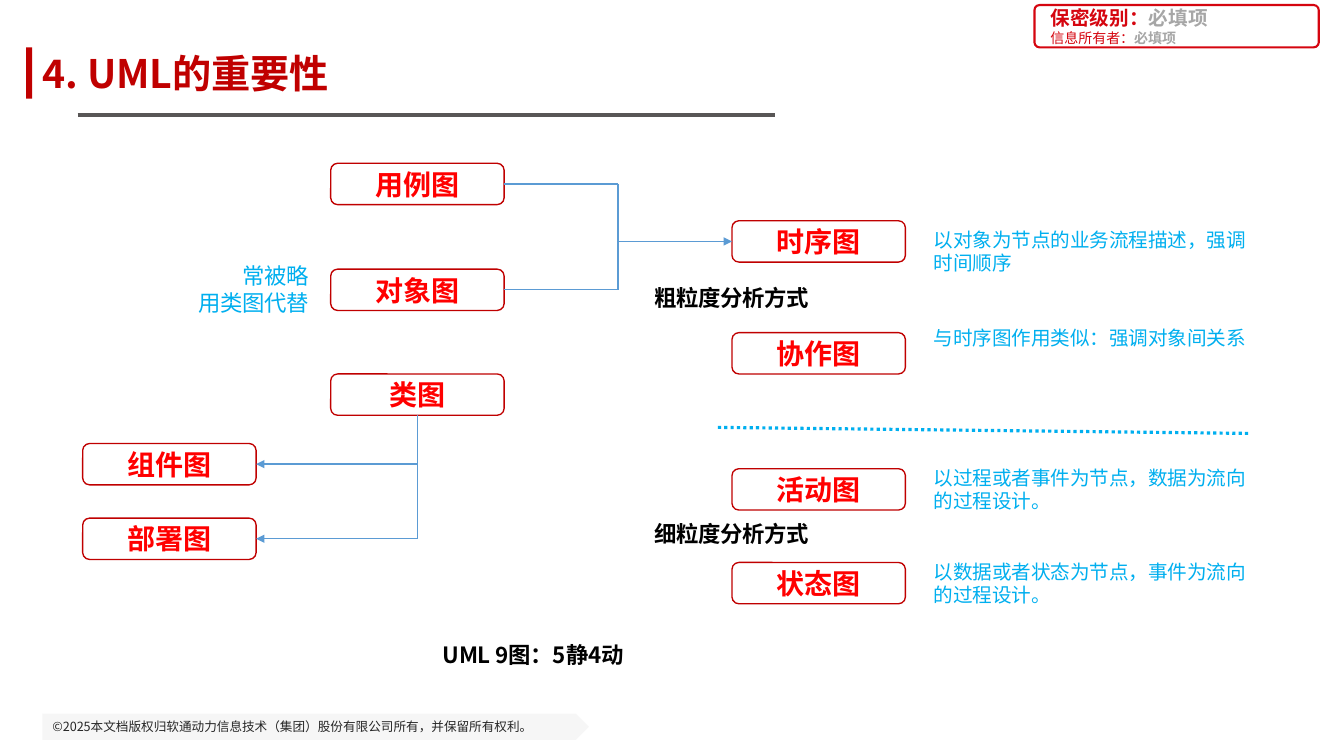
from lxml import etree
from pptx import Presentation
from pptx.dml.color import RGBColor
from pptx.enum.dml import MSO_LINE
from pptx.enum.shapes import MSO_CONNECTOR, MSO_SHAPE
from pptx.enum.text import MSO_ANCHOR, MSO_AUTO_SIZE, PP_ALIGN
from pptx.oxml.ns import qn
from pptx.util import Inches, Pt

STRAIGHT = MSO_CONNECTOR.STRAIGHT
RECT, ROUNDED, PENTAGON = MSO_SHAPE.RECTANGLE, MSO_SHAPE.ROUNDED_RECTANGLE, MSO_SHAPE.PENTAGON
MIDDLE, TOP = MSO_ANCHOR.MIDDLE, MSO_ANCHOR.TOP
LEFT, CENTER = PP_ALIGN.LEFT, PP_ALIGN.CENTER
BOTTOM_SIDE, LEFT_SIDE, RIGHT_SIDE = 2, 1, 3

FONT = "Noto Sans CJK SC"
DARK_RED = RGBColor(0xC0, 0x00, 0x00)
BADGE_RED = RGBColor(0xD5, 0x05, 0x0F)
RED = RGBColor(0xFF, 0x00, 0x00)
SKY = RGBColor(0x00, 0xAF, 0xEF)
ARROW_BLUE = RGBColor(0x5B, 0x9B, 0xD4)
RULE_GREY = RGBColor(0x58, 0x56, 0x56)
HINT_GREY = RGBColor(0xA6, 0xA6, 0xA6)
FOOTER_GREY = RGBColor(0xD5, 0xD5, 0xD5)
FOOTER_TEXT = RGBColor(0x26, 0x26, 0x26)
BLACK = RGBColor(0, 0, 0)

TITLE = "4. UML的重要性"
COPYRIGHT = "©2025本文档版权归软通动力信息技术（集团）股份有限公司所有，并保留所有权利。"
# label, hint, top, size, label bold, hint bold
BADGE = [("保密级别：", "必填项", 0.08, 14, True, True),
         ("信息所有者：", "必填项", 0.28, 10, False, True)]
# diagram name: left, top
DIAGRAMS = {
    "用例图": (3.28, 1.62), "对象图": (3.28, 2.67), "类图": (3.28, 3.71),
    "组件图": (0.82, 4.4), "部署图": (0.82, 5.14),
    "时序图": (7.26, 2.19), "协作图": (7.26, 3.3),
    "活动图": (7.26, 4.65), "状态图": (7.26, 5.58),
}
BOX_W, BOX_H = 1.72, 0.41
# text, top, height
REMARKS = [("以对象为节点的业务流程描述，强调时间顺序", 2.24, 0.5),
           ("与时序图作用类似：强调对象间关系", 3.21, 0.26),
           ("以过程或者事件为节点，数据为流向的过程设计。", 4.6, 0.5),
           ("以数据或者状态为节点，事件为流向的过程设计。", 5.53, 0.5)]
# text, left, top, width
HEADINGS = [("粗粒度分析方式", 6.48, 2.8, 1.58),
            ("细粒度分析方式", 6.48, 5.14, 1.58),
            ("UML 9图：5静4动", 4.38, 6.34, 1.91)]

prs = Presentation()
prs.slide_width, prs.slide_height = Inches(13.33), Inches(7.5)
slide = prs.slides.add_slide(prs.slide_layouts[5])
shapes = slide.shapes


def style(paragraph, size, color, bold=False, align=LEFT, spacing=0):
    """Format a paragraph; spacing is between letters, in points."""
    paragraph.alignment = align
    font = paragraph.font
    font.size, font.bold, font.name = Pt(size), bold, FONT
    font.color.rgb = color
    props = paragraph._p.pPr.find(qn("a:defRPr"))
    props.set("spc", str(round(spacing * 100)))
    etree.SubElement(props, qn("a:ea")).set("typeface", FONT)


def set_frame(frame, anchor, left=0, top=0):
    frame.word_wrap = True
    frame.auto_size = MSO_AUTO_SIZE.NONE
    frame.vertical_anchor = anchor
    frame.margin_left, frame.margin_top = Inches(left), Inches(top)
    frame.margin_right = frame.margin_bottom = 0


def add_text(text, left, top, width, height, anchor=TOP, inset=(0.01, 0.02)):
    box = shapes.add_textbox(Inches(left), Inches(top), Inches(width), Inches(height))
    set_frame(box.text_frame, anchor, *inset)
    paragraph = box.text_frame.paragraphs[0]
    paragraph.add_run().text = text
    return paragraph


def add_box(kind, left, top, width, height, fill=None, line=None, weight=0.96):
    box = shapes.add_shape(kind, Inches(left), Inches(top), Inches(width), Inches(height))
    box.shadow.inherit = False
    if fill is None:
        box.fill.background()
    else:
        box.fill.solid()
        box.fill.fore_color.rgb = fill
    if line is None:
        box.line.fill.background()
    else:
        box.line.color.rgb = line
        box.line.width = Pt(weight)
    return box


def add_line(start, end, color, weight, arrow=False):
    line = shapes.add_connector(STRAIGHT, *(Inches(v) for v in (*start, *end)))
    line.line.color.rgb = color
    line.line.width = Pt(weight)
    if arrow:
        tail = etree.SubElement(line.line._get_or_add_ln(), qn("a:tailEnd"))
        tail.set("type", "triangle")
    etree.SubElement(line._element.spPr, qn("a:effectLst"))
    return line


# Footer, title and confidentiality badge
footer = add_box(PENTAGON, 0.42, 7.08, 5.42, 0.26, FOOTER_GREY)
footer_color = footer.fill._xPr.find(qn("a:solidFill"))[0]
etree.SubElement(footer_color, qn("a:alpha")).set("val", "20000")
set_frame(footer.text_frame, MIDDLE, 0.1)
footer.text_frame.text = COPYRIGHT
style(footer.text_frame.paragraphs[0], 9, FOOTER_TEXT)

add_box(RECT, 0.26, 0.47, 0.06, 0.51, DARK_RED)
title = shapes.title
title.left, title.top, title.width, title.height = (
    Inches(v) for v in (0.42, 0.42, 9.57, 0.61))
set_frame(title.text_frame, MIDDLE)
title.text_frame.text = TITLE
style(title.text_frame.paragraphs[0], 28, DARK_RED, True)
add_line((0.77, 1.14), (7.69, 1.14), RULE_GREY, 3)

add_box(ROUNDED, 10.26, 0.05, 2.82, 0.42, line=BADGE_RED, weight=1.5).adjustments[0] = 0.12
for label, hint, top, size, label_bold, hint_bold in BADGE:
    paragraph = add_text(label, 10.32, top, 2.68, 0.2, MIDDLE, (0.1, 0))
    style(paragraph, size, BADGE_RED, label_bold)
    hint_run = paragraph.add_run()
    hint_run.text = hint
    hint_run.font.bold = hint_bold
    hint_run.font.color.rgb = HINT_GREY

# Diagram boxes
boxes = {}
for name, (left, top) in DIAGRAMS.items():
    box = boxes[name] = add_box(ROUNDED, left, top, BOX_W, BOX_H, line=DARK_RED)
    set_frame(box.text_frame, MIDDLE)
    box.text_frame.text = name
    style(box.text_frame.paragraphs[0], 20, RED, True, CENTER, -0.2)


def mid_y(name):
    return DIAGRAMS[name][1] + BOX_H / 2


# Use case and object diagrams lead to the sequence diagram
right_edge = DIAGRAMS["用例图"][0] + BOX_W
sequence_left = DIAGRAMS["时序图"][0]
join_x = (right_edge + sequence_left) / 2
for name in ("用例图", "对象图"):
    branch = add_line((right_edge, mid_y(name)), (join_x, mid_y(name)), ARROW_BLUE, 1)
    branch.begin_connect(boxes[name], RIGHT_SIDE)
add_line((join_x, mid_y("用例图")), (join_x, mid_y("对象图")), ARROW_BLUE, 1)
to_sequence = add_line((join_x, mid_y("时序图")), (sequence_left, mid_y("时序图")),
                       ARROW_BLUE, 1, True)
to_sequence.end_connect(boxes["时序图"], LEFT_SIDE)

# The class diagram leads to the component and deployment diagrams
class_left, class_top = DIAGRAMS["类图"]
trunk_x = class_left + BOX_W / 2
trunk = add_line((trunk_x, class_top + BOX_H), (trunk_x, mid_y("部署图")), ARROW_BLUE, 1)
trunk.begin_connect(boxes["类图"], BOTTOM_SIDE)
for name in ("组件图", "部署图"):
    branch = add_line((trunk_x, mid_y(name)), (DIAGRAMS[name][0] + BOX_W, mid_y(name)),
                      ARROW_BLUE, 1, True)
    branch.end_connect(boxes[name], RIGHT_SIDE)

# Remarks, headings and divider
omitted = add_text("常被略用类图代替", 1.96, 2.58, 1.14, 0.56)
omitted._p.get_or_add_pPr().set("indent", str(Inches(0.44)))
style(omitted, 16, SKY, spacing=-0.3)
for text, top, height in REMARKS:
    style(add_text(text, 9.25, top, 3.15, height), 14, SKY, spacing=-0.1)
for text, left, top, width in HEADINGS:
    style(add_text(text, left, top, width, 0.29), 16, BLACK, True, spacing=-0.2)
divider = add_line((7.12, 4.24), (12.41, 4.3), SKY, 2.28)
divider.line.dash_style = MSO_LINE.ROUND_DOT

prs.save("out.pptx")
